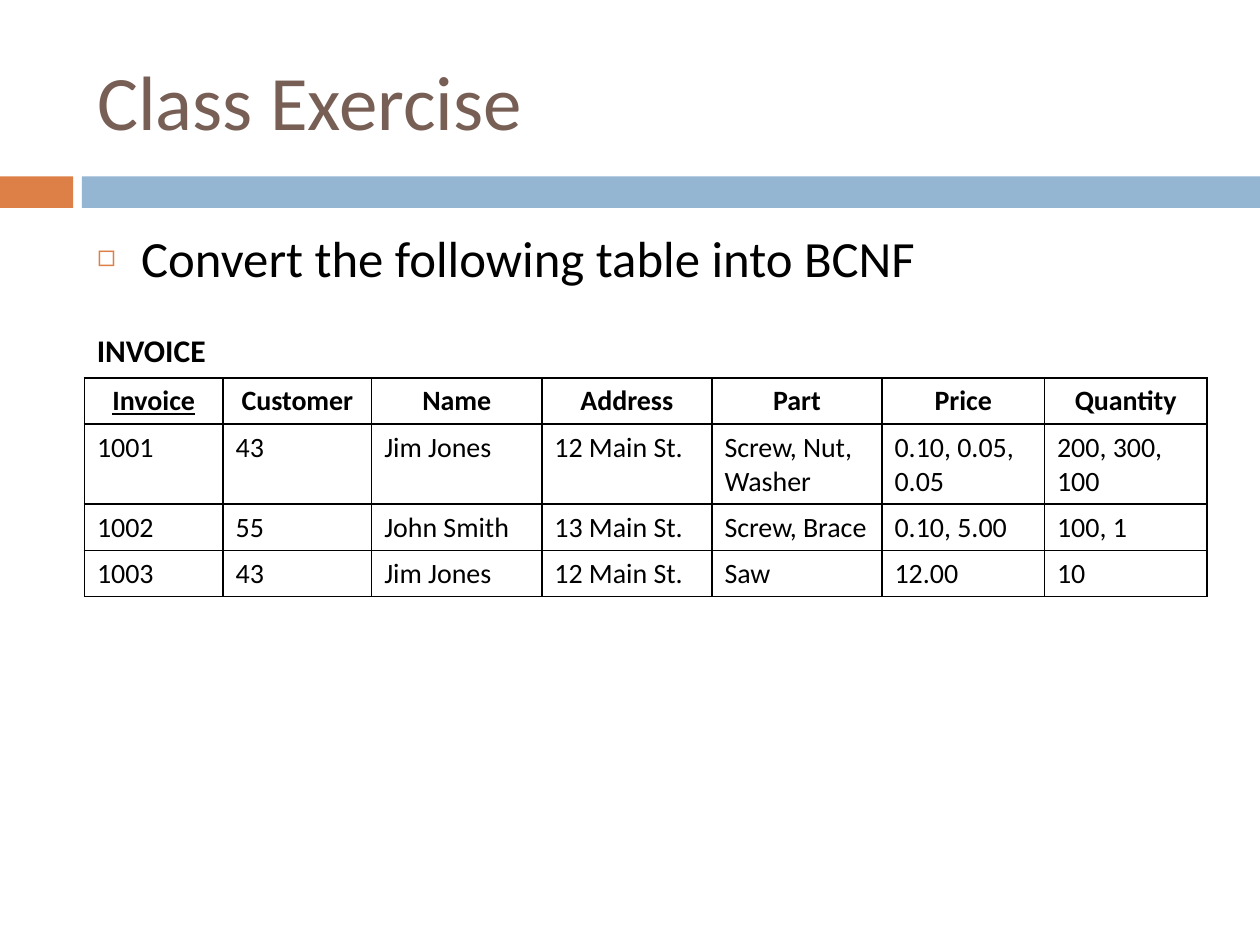
from typing import NamedTuple

from pptx import Presentation
from pptx.dml.color import RGBColor
from pptx.enum.shapes import MSO_SHAPE as Shape
from pptx.enum.text import MSO_ANCHOR as Anchor, MSO_AUTO_SIZE as AutoSize, PP_ALIGN as Align
from pptx.oxml.ns import qn
from pptx.util import Inches, Pt
from lxml.etree import SubElement

FONT = "Calibri"
COLORS = {"accent": "DD8047", "band": "94B6D2", "title": "775F55",
          "text": "000000", "background": "FFFFFF"}
LEFT, WIDTH = 0.67, 8.92


class Box(NamedTuple):
    left: float
    top: float
    width: float
    height: float

    def lengths(self) -> list:
        return [Inches(value) for value in self]


class Bar(NamedTuple):
    box: Box
    color: str


BARS = [Bar(Box(0, 1.4, 0.58, 0.25), "accent"), Bar(Box(0.65, 1.4, 9.35, 0.25), "band")]
COLUMN_WIDTHS = [1.1, 1.18, 1.35, 1.35, 1.35, 1.29, 1.29]
ROW_HEIGHTS = [0.32, 0.55, 0.32, 0.32]
INVOICE_ROWS = [
    ["Invoice", "Customer", "Name", "Address", "Part", "Price", "Quantity"],
    ["1001", "43", "Jim Jones", "12 Main St.", "Screw, Nut, Washer",
     "0.10, 0.05, 0.05", "200, 300, 100"],
    ["1002", "55", "John Smith", "13 Main St.", "Screw, Brace", "0.10, 5.00", "100, 1"],
    ["1003", "43", "Jim Jones", "12 Main St.", "Saw", "12.00", "10"],
]


def rgb(name: str) -> RGBColor:
    return RGBColor.from_string(COLORS[name])


def write(text_frame, text: str, size: float, color: str = "text",
          bold: bool = False, underline: bool = False, align=Align.LEFT):
    text_frame.text = text
    paragraph = text_frame.paragraphs[0]
    paragraph.alignment = align
    paragraph.space_before = Pt(0)
    font = paragraph.runs[0].font
    font.name, font.size, font.bold = FONT, Pt(size), bold
    font.underline = underline
    font.color.rgb = rgb(color)
    return paragraph


def place(shape, box: Box) -> None:
    shape.left, shape.top, shape.width, shape.height = box.lengths()


def add_bar(slide, bar: Bar) -> None:
    shape = slide.shapes.add_shape(Shape.RECTANGLE, *bar.box.lengths())
    shape.shadow.inherit = False
    shape.fill.solid()
    shape.fill.fore_color.rgb = rgb(bar.color)
    shape.line.fill.background()


def add_bullet(paragraph, character: str, color: str, percent: int, indent: float) -> None:
    properties = paragraph._p.get_or_add_pPr()
    properties.set("marL", str(Inches(indent)))
    properties.set("indent", str(-Inches(indent)))
    bullet_color = SubElement(properties, qn("a:buClr"))
    SubElement(bullet_color, qn("a:srgbClr"), val=COLORS[color])
    SubElement(properties, qn("a:buSzPct"), val=str(percent * 1000))
    SubElement(properties, qn("a:buChar"), char=character)


def set_borders(cell, color: str, width: float) -> None:
    properties = cell._tc.get_or_add_tcPr()
    for position, side in enumerate(("lnL", "lnR", "lnT", "lnB")):
        line = properties.makeelement(qn(f"a:{side}"), {"w": str(Pt(width))})
        fill = SubElement(line, qn("a:solidFill"))
        SubElement(fill, qn("a:srgbClr"), val=COLORS[color])
        properties.insert(position, line)


def add_table(slide, rows: list[list[str]], box: Box) -> None:
    table = slide.shapes.add_table(len(rows), len(rows[0]), *box.lengths()).table
    for column, width in zip(table.columns, COLUMN_WIDTHS):
        column.width = Inches(width)
    for row, height, texts in zip(table.rows, ROW_HEIGHTS, rows):
        row.height = Inches(height)
        header = texts is rows[0]
        for cell, text in zip(row.cells, texts):
            write(cell.text_frame, text, 16, bold=header, underline=text == "Invoice",
                  align=Align.CENTER if header else Align.LEFT)
            cell.fill.solid()
            cell.fill.fore_color.rgb = rgb("background")
            set_borders(cell, "text", 1)


def main() -> None:
    presentation = Presentation()
    presentation.slide_width, presentation.slide_height = Inches(10), Inches(7.5)
    slide = presentation.slides.add_slide(presentation.slide_layouts[1])

    # Bars under the title
    for bar in BARS:
        add_bar(slide, bar)

    # Title and task
    title, body = slide.shapes.title, slide.placeholders[1]
    place(title, Box(LEFT, 0.25, WIDTH, 1.08))
    title.text_frame.vertical_anchor = Anchor.MIDDLE
    write(title.text_frame, "Class Exercise", 44, "title")
    place(body, Box(LEFT, 1.75, WIDTH, 4.92))
    task = write(body.text_frame, "Convert the following table into BCNF", 29)
    add_bullet(task, "◻", "accent", 60, 0.35)
    for placeholder in (title, body):
        placeholder.text_frame.auto_size = AutoSize.NONE

    # Table with its caption
    caption = slide.shapes.add_textbox(*Box(LEFT, 2.58, 1.11, 0.4).lengths())
    caption.text_frame.word_wrap = False
    caption.text_frame.auto_size = AutoSize.SHAPE_TO_FIT_TEXT
    write(caption.text_frame, "INVOICE", 18, bold=True)
    add_table(slide, INVOICE_ROWS, Box(LEFT, 3, WIDTH, sum(ROW_HEIGHTS)))

    presentation.save("out.pptx")


if __name__ == "__main__":
    main()
